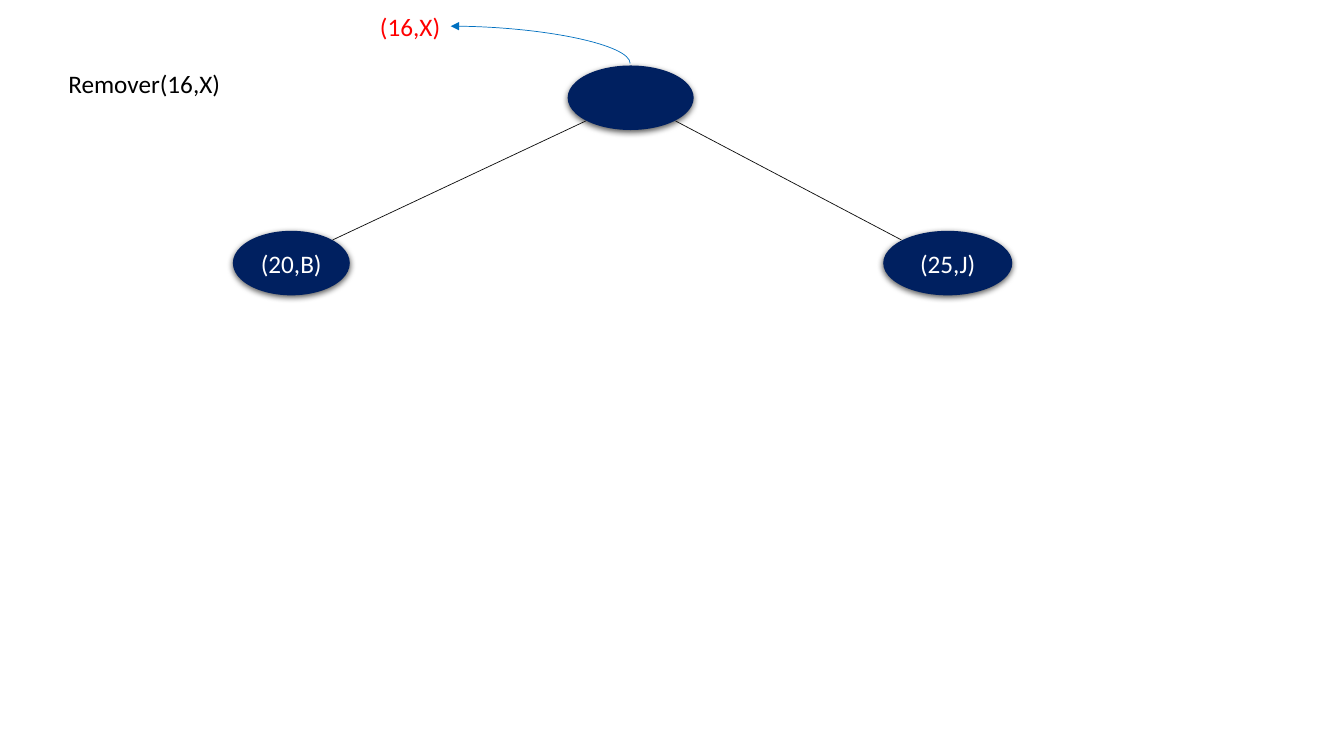
from pptx import Presentation
from pptx.dml.color import RGBColor
from pptx.enum.shapes import MSO_CONNECTOR as Conn, MSO_SHAPE as Shape
from pptx.enum.text import MSO_ANCHOR as Anchor, MSO_AUTO_SIZE as Auto, PP_ALIGN as Align
from pptx.oxml import parse_xml
from pptx.oxml.ns import nsdecls, qn
from pptx.util import Inches, Pt

NAVY = RGBColor(0x00, 0x20, 0x60)
BLUE = RGBColor(0x00, 0x70, 0xC0)
RED = RGBColor(0xFF, 0x00, 0x00)
INK = RGBColor(0x0D, 0x0D, 0x0D)
BLACK = RGBColor(0x00, 0x00, 0x00)
WHITE = RGBColor(0xFF, 0xFF, 0xFF)

SHADOW = (
    f'<a:effectLst {nsdecls("a")}>'
    '<a:outerShdw blurRad="57150" dist="19050" dir="5400000" algn="ctr" rotWithShape="0">'
    '<a:srgbClr val="000000"><a:alpha val="63000"/></a:srgbClr>'
    '</a:outerShdw></a:effectLst>'
)
PLAIN = f'<a:effectLst {nsdecls("a")}/>'
ARROW = f'<a:headEnd {nsdecls("a")} type="triangle"/>'


def write(frame, text, color=BLACK, size=18, font="Calibri", align=Align.LEFT):
    """Put one formatted run of text in a frame."""
    para = frame.paragraphs[0]
    para.alignment = align
    run = para.add_run()
    run.text = text
    run.font.name = font
    run.font.size = Pt(size)
    run.font.color.rgb = color


class Tree:
    """Heap drawing on one slide, with its shared style."""

    node_h = 0.64
    line_w = 0.5

    def __init__(self, slide):
        self.shapes = slide.shapes

    def node(self, left, top, width, text=None):
        oval = self.shapes.add_shape(
            Shape.OVAL, Inches(left), Inches(top), Inches(width), Inches(self.node_h))
        oval.fill.solid()
        oval.fill.fore_color.rgb = NAVY
        oval.line.fill.background()
        oval._element.spPr.append(parse_xml(SHADOW))
        oval.text_frame.vertical_anchor = Anchor.MIDDLE
        if text:
            write(oval.text_frame, text, color=WHITE, align=Align.CENTER)

    def edge(self, start, end, color=INK, kind=Conn.STRAIGHT):
        points = [Inches(v) for v in (*start, *end)]
        link = self.shapes.add_connector(kind, *points)
        link.line.color.rgb = color
        link.line.width = Pt(self.line_w)
        link._element.spPr.append(parse_xml(PLAIN))
        return link

    def arc(self, tip, start):
        # A quarter curve: level at the arrow tip, upright at the node
        link = self.edge(tip, start, color=BLUE, kind=Conn.CURVE)
        props = link._element.spPr
        props.find(qn("a:prstGeom")).set("prst", "curvedConnector2")
        props.find(qn("a:ln")).append(parse_xml(ARROW))

    def label(self, left, top, width, text, color=BLACK, wrap=False):
        box = self.shapes.add_textbox(
            Inches(left), Inches(top), Inches(width), Inches(0.4))
        box.text_frame.word_wrap = wrap
        box.text_frame.auto_size = Auto.SHAPE_TO_FIT_TEXT
        write(box.text_frame, text, color=color)


def main():
    deck = Presentation()
    deck.slide_width, deck.slide_height = Inches(13.33), Inches(7.5)
    tree = Tree(deck.slides.add_slide(deck.slide_layouts[6]))

    # Nodes: emptied root and its two children
    tree.node(5.63, 0.65, 1.25)
    tree.node(2.31, 2.29, 1.16, "(20,B)")
    tree.node(8.76, 2.29, 1.28, "(25,J)")

    # Edges from the root
    tree.edge((5.81, 1.2), (3.3, 2.38))
    tree.edge((6.7, 1.2), (8.94, 2.38))

    # Operation and the removed entry
    tree.label(0.58, 0.63, 1.73, "Remover(16,X)")
    tree.label(3.67, 0.06, 0.84, "(16,X)", color=RED, wrap=True)
    tree.arc((4.47, 0.26), (6.25, 0.63))

    deck.save("out.pptx")


if __name__ == "__main__":
    main()
